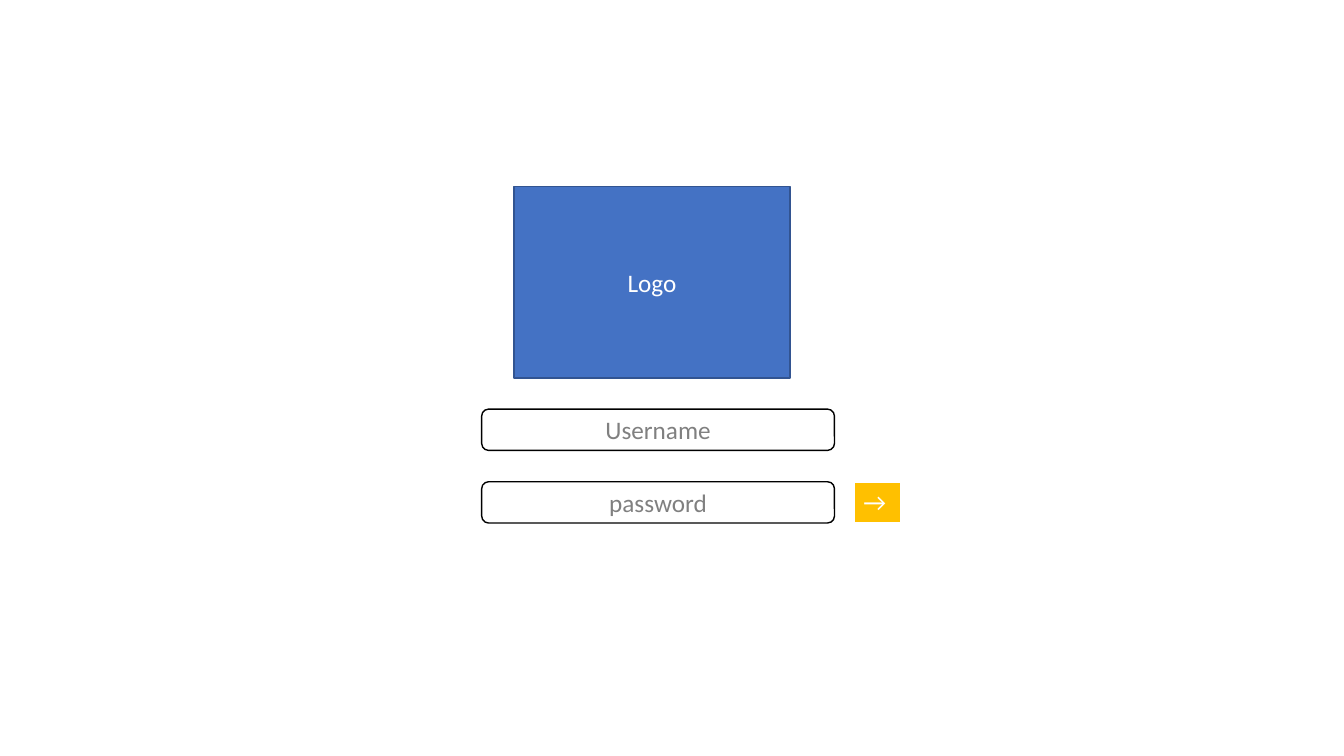
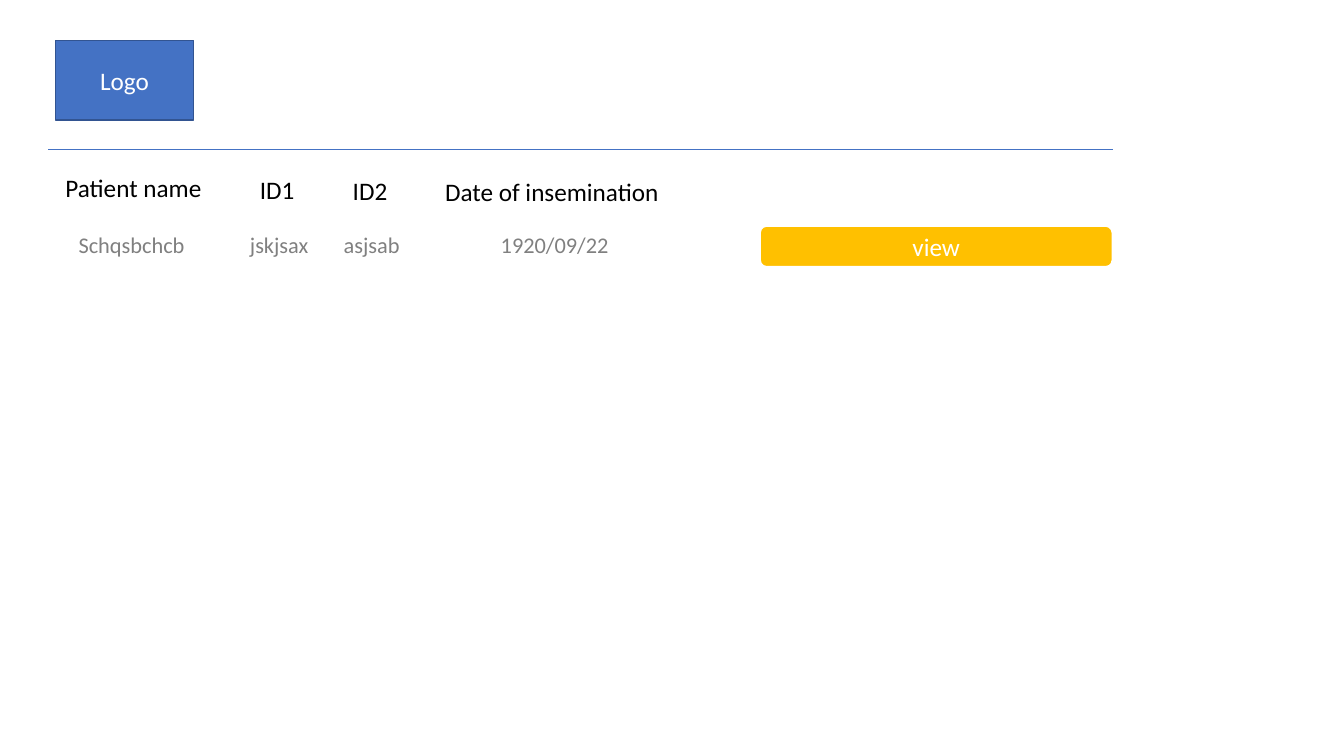
"""Builds two app wireframe slides: a login screen and a patient list."""
from dataclasses import dataclass

from lxml import etree
from pptx import Presentation
from pptx import util as u
from pptx.dml.color import RGBColor
from pptx.enum import shapes, text
from pptx.oxml.ns import qn


@dataclass(frozen=True)
class Theme:
    font: str = "Calibri"
    size: int = 18
    row_size: int = 16
    blue: str = "4472C4"
    navy: str = "325491"
    gold: str = "FFC000"
    white: str = "FFFFFF"
    black: str = "000000"
    grey: str = "808080"


T = Theme()
LOGO = "Logo"
LOGIN_LOGO = (12.95, 4.7, 6.96, 4.83)
LIST_LOGO = (1.4, 1.02, 3.48, 2.01)
FIELDS = ["Username", "password"]
FIELD_LEFT, FIELD_TOP, FIELD_STEP = 12.14, 10.31, 1.83
FIELD_W, FIELD_H = 8.89, 1.04
GO, GO_LEFT, GO_W = "→", 21.51, 1.19

HEADERS = [
    ("Patient name", 1.4, 4.22, 3.99),
    ("ID1", 6.3, 4.27, 1.4),
    ("ID2", 8.64, 4.29, 1.4),
    ("Date of insemination", 10.97, 4.32, 5.97),
]
PATIENT = ["Schqsbchcb", "jskjsax", "asjsab", "1920/09/22"]
PATIENT_TABS = [4.32, 6.68, 10.64]
ROW_LEFT, ROW_TOP, ROW_W, ROW_H = 1.73, 5.69, 15.98, 0.94
RULE_LEFT, RULE_RIGHT, RULE_TOP = 1.22, 28.04, 3.76
VIEW = "view"


def cm(values):
    return [u.Cm(v) for v in values]


def rgb(value):
    return RGBColor.from_string(value)


def write(sp, content, color, size=T.size, align=None):
    p = sp.text_frame.paragraphs[0]
    p.text = content
    p.alignment = align
    p.font.name, p.font.size = T.font, u.Pt(size)
    p.font.color.rgb = rgb(color)
    return p


def box(s, kind, at, content, fill, line, width, color=T.white, align=text.PP_ALIGN.CENTER):
    sp = s.shapes.add_shape(kind, *cm(at))
    sp.shadow.inherit = False
    if fill:
        sp.fill.solid()
        sp.fill.fore_color.rgb = rgb(fill)
    else:
        sp.fill.background()
    sp.line.color.rgb, sp.line.width = rgb(line), u.Pt(width)
    sp.text_frame.vertical_anchor = text.MSO_ANCHOR.MIDDLE
    write(sp, content, color, align=align)
    return sp


def logo(s, at):
    box(s, RECT, at, LOGO, T.blue, T.navy, 1)


def label(s, at, content, color, size=T.size, wrap=False):
    sp = s.shapes.add_textbox(*cm(at))
    sp.text_frame.word_wrap = wrap
    sp.text_frame.auto_size = text.MSO_AUTO_SIZE.SHAPE_TO_FIT_TEXT
    return write(sp, content, color, size, text.PP_ALIGN.LEFT)


def set_tabs(p, stops):
    tabs = etree.Element(qn("a:tabLst"))
    for stop in stops:
        etree.SubElement(tabs, qn("a:tab"), pos=str(u.Cm(stop)), algn="l")
    p._p.get_or_add_pPr().insert(0, tabs)


def login_slide(s):
    logo(s, LOGIN_LOGO)
    for i, name in enumerate(FIELDS):
        top = FIELD_TOP + i * FIELD_STEP
        box(s, ROUND, (FIELD_LEFT, top, FIELD_W, FIELD_H), name, None, T.black, 1, T.grey)
    go = box(s, RECT, (GO_LEFT, top, GO_W, FIELD_H), GO, T.gold, T.white, 1.5,
             align=text.PP_ALIGN.LEFT)
    go.text_frame.vertical_anchor = text.MSO_ANCHOR.TOP
    go.text_frame.auto_size = text.MSO_AUTO_SIZE.SHAPE_TO_FIT_TEXT


def list_slide(s):
    logo(s, LIST_LOGO)
    box(s, ROUND, (RULE_RIGHT - FIELD_W, ROW_TOP, FIELD_W, FIELD_H), VIEW, T.gold, T.white, 1.5)
    rule = s.shapes.add_connector(shapes.MSO_CONNECTOR.STRAIGHT,
                                  *cm((RULE_LEFT, RULE_TOP, RULE_RIGHT, RULE_TOP)))
    rule.line.color.rgb, rule.line.width = rgb(T.blue), u.Pt(0.5)
    etree.SubElement(rule._element.spPr, qn("a:effectLst"))
    for name, left, top, width in HEADERS:
        label(s, (left, top, width, 1.02), name, T.black)
    row = label(s, (ROW_LEFT, ROW_TOP, ROW_W, ROW_H), "\t".join(PATIENT), T.grey,
                T.row_size, wrap=True)
    set_tabs(row, PATIENT_TABS)


RECT = shapes.MSO_SHAPE.RECTANGLE
ROUND = shapes.MSO_SHAPE.ROUNDED_RECTANGLE

prs = Presentation()
prs.slide_width, prs.slide_height = cm((33.87, 19.05))
for build in (login_slide, list_slide):
    build(prs.slides.add_slide(prs.slide_layouts[6]))
prs.save("out.pptx")
